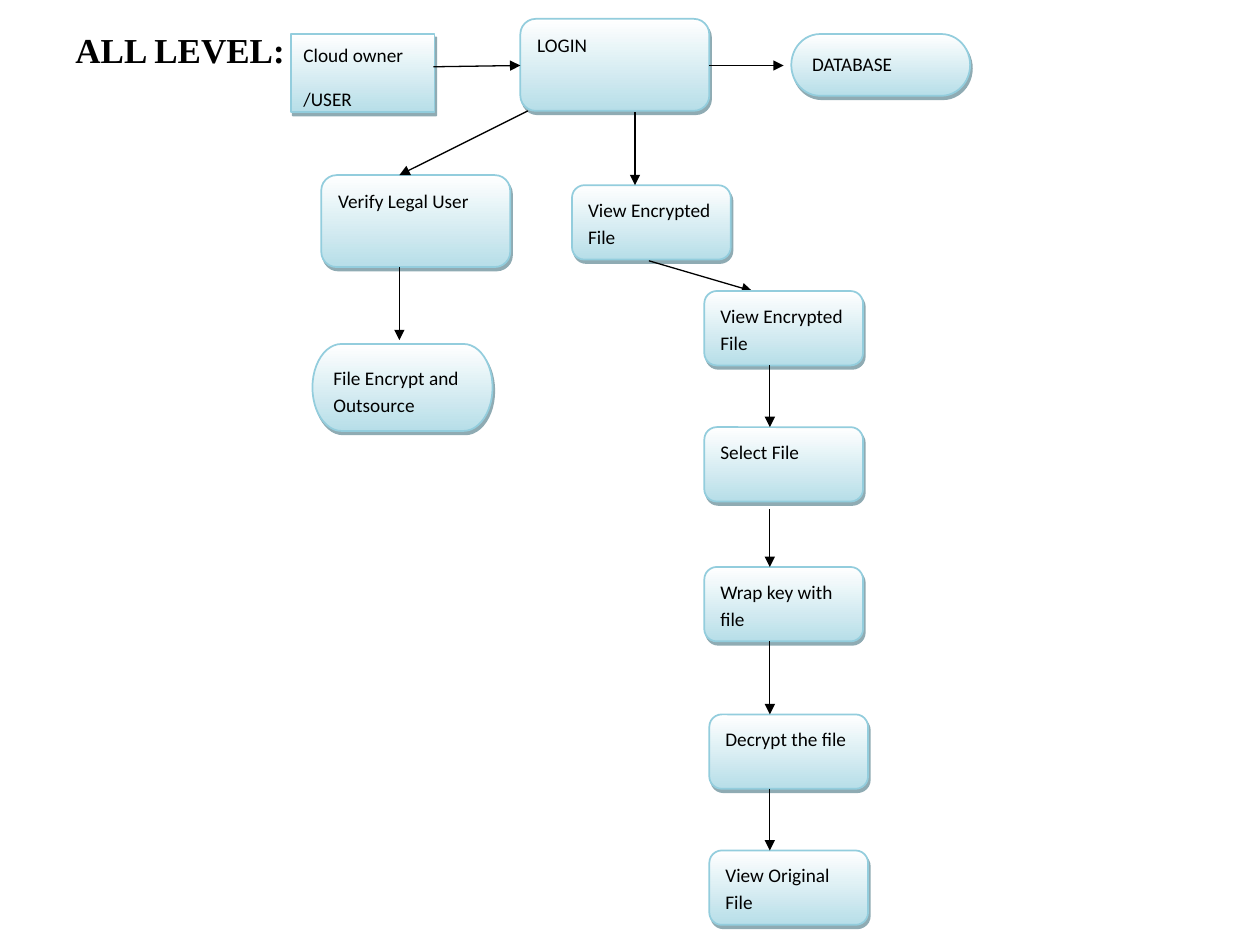
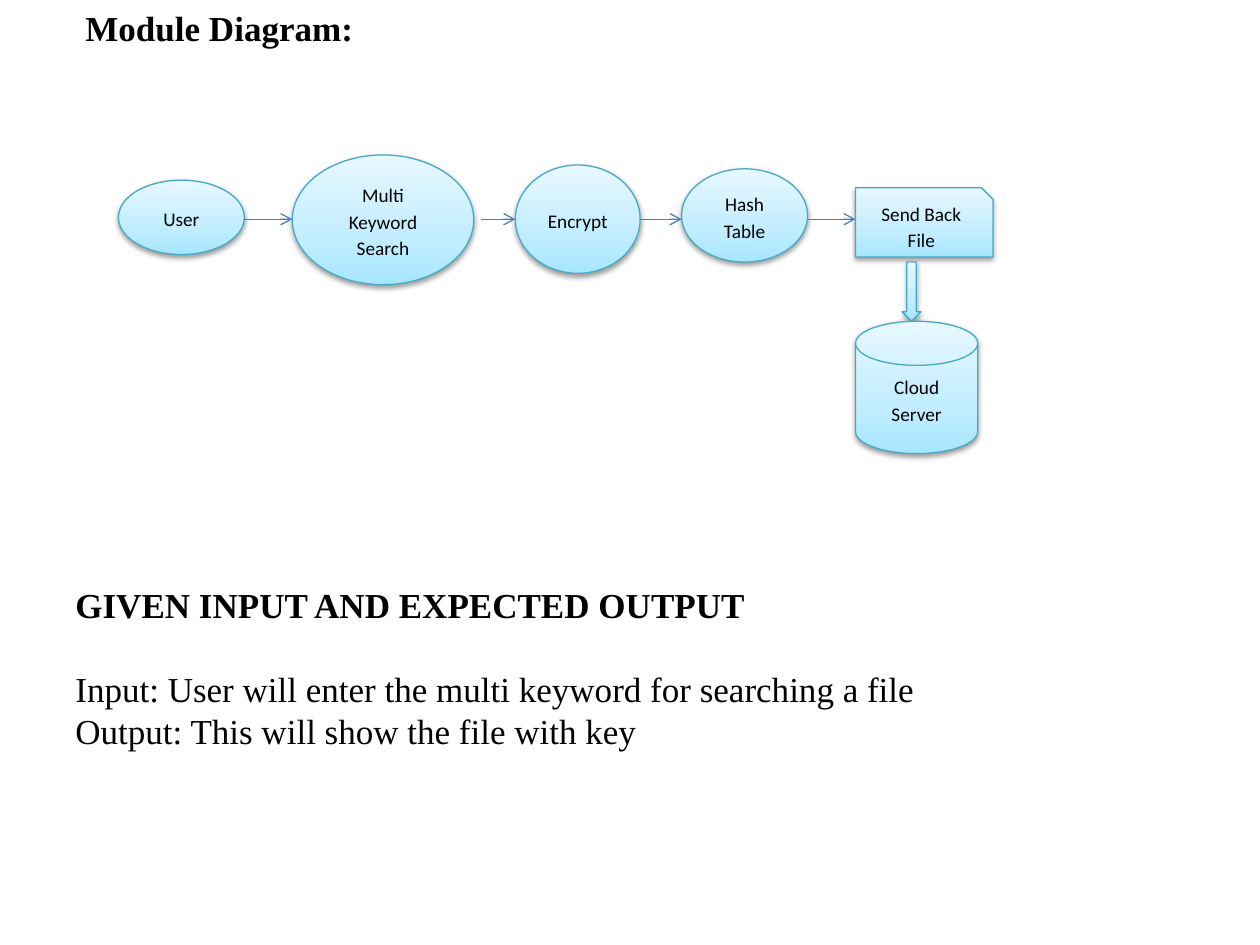
from collections import namedtuple
from itertools import pairwise

from lxml.etree import SubElement
from pptx import Presentation
from pptx.dml.color import RGBColor
from pptx.enum.shapes import MSO_CONNECTOR, MSO_SHAPE
from pptx.enum.text import MSO_ANCHOR, PP_ALIGN
from pptx.oxml import parse_xml
from pptx.oxml.ns import nsdecls, qn
from pptx.util import Inches, Pt

# Shared colours, fonts and grid (100 columns by 75 rows of square cells)
BLACK = RGBColor(0x00, 0x00, 0x00)
WHITE = RGBColor(0xFF, 0xFF, 0xFF)
PALE_TEAL = RGBColor(0xB7, 0xDE, 0xE8)
TEAL_EDGE = RGBColor(0x93, 0xCD, 0xDD)
TEAL_SHADOW = RGBColor(0x21, 0x59, 0x68)
SKY = RGBColor(0xA7, 0xE6, 0xFF)
LIGHT_SKY = RGBColor(0xC1, 0xED, 0xFF)
PALE_SKY = RGBColor(0xE7, 0xF8, 0xFF)
SKY_EDGE = RGBColor(0x46, 0xAA, 0xC5)
ARROW_BLUE = RGBColor(0x4B, 0x7E, 0xBC)
HEADING_FONT, NODE_FONT = "Times New Roman", "Calibri"

prs = Presentation()
prs.slide_width, prs.slide_height = Inches(10), Inches(7.5)
CELL = prs.slide_width / 100

# Shadow: colour, opacity %, blur pt, distance pt, direction in degrees
NodeStyle = namedtuple("NodeStyle", "stops angle edge edge_width shadow anchor align")
FLOW = NodeStyle([(0, WHITE), (100, PALE_TEAL)], 90, TEAL_EDGE, 1,
                 (TEAL_SHADOW, 50, 0, 2.2, 63), MSO_ANCHOR.TOP, PP_ALIGN.LEFT)
MODULE = NodeStyle([(0, SKY), (35, LIGHT_SKY), (100, PALE_SKY)], 270, SKY_EDGE, 0.75,
                   (BLACK, 38, 3.1, 1.6, 90), MSO_ANCHOR.MIDDLE, PP_ALIGN.CENTER)


def add_node(slide, style, preset, box, *lines):
    """Draw a gradient node; box is left, top, width, height in cells."""
    node = slide.shapes.add_shape(preset, *(round(n * CELL) for n in box))
    node.fill.gradient()
    node.line.color.rgb = style.edge
    node.line.width = Pt(style.edge_width)
    node.shadow.inherit = False
    properties = node._element.spPr
    stops = "".join(f'<a:gs pos="{pos * 1000}"><a:srgbClr val="{colour}"/></a:gs>'
                    for pos, colour in style.stops)
    properties.replace(properties.find(qn("a:gradFill")), parse_xml(
        f'<a:gradFill {nsdecls("a")} rotWithShape="1"><a:gsLst>{stops}</a:gsLst>'
        f'<a:lin ang="{style.angle * 60000}" scaled="0"/></a:gradFill>'))
    colour, opacity, blur, distance, direction = style.shadow
    properties.find(qn("a:effectLst")).append(parse_xml(
        f'<a:outerShdw {nsdecls("a")} blurRad="{Pt(blur)}" dist="{Pt(distance)}" '
        f'dir="{direction * 60000}" algn="ctr" rotWithShape="0">'
        f'<a:srgbClr val="{colour}"><a:alpha val="{opacity * 1000}"/></a:srgbClr>'
        '</a:outerShdw>'))
    frame = node.text_frame
    frame.word_wrap = True
    frame.vertical_anchor = style.anchor
    for i, line in enumerate(lines):
        paragraph = frame.add_paragraph() if i else frame.paragraphs[0]
        paragraph.alignment = style.align
        paragraph.line_spacing = 1.15
        paragraph.space_after = Pt(10)
        run = paragraph.add_run()
        run.text = line
        run.font.name, run.font.size = NODE_FONT, Pt(11)
        run.font.color.rgb = BLACK


def add_arrow(slide, ends, colour, head):
    """Draw an arrow; ends is x1, y1, x2, y2 in cells."""
    arrow = slide.shapes.add_connector(MSO_CONNECTOR.STRAIGHT,
                                       *(round(n * CELL) for n in ends))
    arrow.line.color.rgb = colour
    arrow.line.width = Pt(0.75)
    properties = arrow._element.spPr
    SubElement(properties.find(qn("a:ln")), qn("a:tailEnd"), type=head)
    SubElement(properties, qn("a:effectLst"))


blank = prs.slide_layouts[6]
all_level = prs.slides.add_slide(blank)
module = prs.slides.add_slide(blank)

# Headings and body text of both slides
texts = [
    (all_level, (5, 1.7, 18.8, 4.4), False, MSO_ANCHOR.MIDDLE, PP_ALIGN.LEFT,
     [("ALL LEVEL:", True, 0)]),
    (module, (5.8, 0, 83.3, 4.4), True, MSO_ANCHOR.MIDDLE, PP_ALIGN.JUSTIFY,
     [("Module Diagram:", True, 0)]),
    (module, (5, 45.8, 85, 17.8), True, MSO_ANCHOR.TOP, PP_ALIGN.LEFT,
     [("GIVEN INPUT AND EXPECTED OUTPUT", True, 24),
      ("Input: User will enter the multi keyword for searching a file", False, 0),
      ("Output: This will show the file with key", False, 0)]),
]
for slide, box, wrap, anchor, align, lines in texts:
    frame = slide.shapes.add_textbox(*(round(n * CELL) for n in box)).text_frame
    frame.word_wrap = wrap
    frame.vertical_anchor = anchor
    for i, (line, bold, gap) in enumerate(lines):
        paragraph = frame.add_paragraph() if i else frame.paragraphs[0]
        paragraph.alignment = align
        paragraph.space_after = Pt(gap)
        run = paragraph.add_run()
        run.text = line
        run.font.name, run.font.size, run.font.bold = HEADING_FONT, Pt(20), bold
        run.font.color.rgb = BLACK

# Slide 1: login row and its two branches
ROUNDED, TERMINATOR = MSO_SHAPE.ROUNDED_RECTANGLE, MSO_SHAPE.FLOWCHART_TERMINATOR
for preset, box, *lines in [
    (MSO_SHAPE.RECTANGLE, (23.1, 2.7, 11.4, 6.2), "Cloud owner", "/USER"),
    (ROUNDED, (41.3, 1.5, 15, 7.3), "LOGIN"),
    (TERMINATOR, (62.8, 2.7, 14.2, 4.9), "DATABASE"),
    (ROUNDED, (25.5, 13.9, 15, 7.3), "Verify Legal User"),
    (TERMINATOR, (24.8, 27.3, 14.3, 6.9), "File Encrypt and Outsource"),
    (ROUNDED, (45.4, 14.7, 12.6, 5.9), "View Encrypted File"),
]:
    add_node(all_level, FLOW, preset, box, *lines)

for ends in [
    (34.4, 5.3, 41.3, 5.2),      # owner to login
    (56.3, 5.2, 62.2, 5.2),      # login to database
    (41.9, 8.8, 31.7, 13.9),     # login to verification
    (31.7, 21.2, 31.7, 27),      # verification to encryption
    (50.4, 8.9, 50.4, 14.7),     # login to file view
    (51.5, 20.7, 59.7, 23.1),    # file view to decryption steps
]:
    add_arrow(all_level, ends, BLACK, "triangle")

# Slide 1: column of decryption steps, joined top to bottom
STEP_WIDTH, STEP_HEIGHT, STEP_ARROW_X = 12.6, 5.9, 61.1
steps = [  # left, top, gap before the outgoing arrow, label
    (55.9, 23.1, 0, "View Encrypted File"),
    (55.9, 33.9, 0.6, "Select File"),
    (55.9, 45, 0, "Wrap key with file"),
    (56.3, 56.7, 0, "Decrypt the file"),
    (56.3, 67.5, 0, "View Original File"),
]
for left, top, gap, label in steps:
    add_node(all_level, FLOW, ROUNDED, (left, top, STEP_WIDTH, STEP_HEIGHT), label)
for (_, top, gap, _), (_, next_top, _, _) in pairwise(steps):
    add_arrow(all_level, (STEP_ARROW_X, top + STEP_HEIGHT + gap, STEP_ARROW_X, next_top),
              BLACK, "triangle")

# Slide 2: search pipeline, joined left to right
PIPELINE_Y = 17.4
pipeline = [  # preset, box, gap before the outgoing arrow, label
    (MSO_SHAPE.OVAL, (9.4, 14.3, 10, 5.9), 0, "User"),
    (MSO_SHAPE.OVAL, (23.2, 12.3, 14.4, 10.3), 0.6, "Multi Keyword Search"),
    (MSO_SHAPE.OVAL, (40.9, 13.1, 9.9, 8.6), 0, "Encrypt"),
    (MSO_SHAPE.OVAL, (54.1, 13.4, 10, 7.4), 0, "Hash Table"),
    (MSO_SHAPE.SNIP_1_RECTANGLE, (67.9, 14.9, 10.9, 5.5), 0, "Send Back File"),
]
for preset, box, gap, label in pipeline:
    add_node(module, MODULE, preset, box, label)
for (_, box, gap, _), (_, next_box, _, _) in pairwise(pipeline):
    add_arrow(module, (box[0] + box[2] + gap, PIPELINE_Y, next_box[0], PIPELINE_Y),
              ARROW_BLUE, "arrow")

# Slide 2: cloud server below the pipeline
add_node(module, MODULE, MSO_SHAPE.DOWN_ARROW, (71.6, 20.8, 1.5, 4.7))
add_node(module, MODULE, MSO_SHAPE.FLOWCHART_MAGNETIC_DISK, (67.9, 25.5, 9.7, 10.5),
         "Cloud Server")

prs.save("out.pptx")
